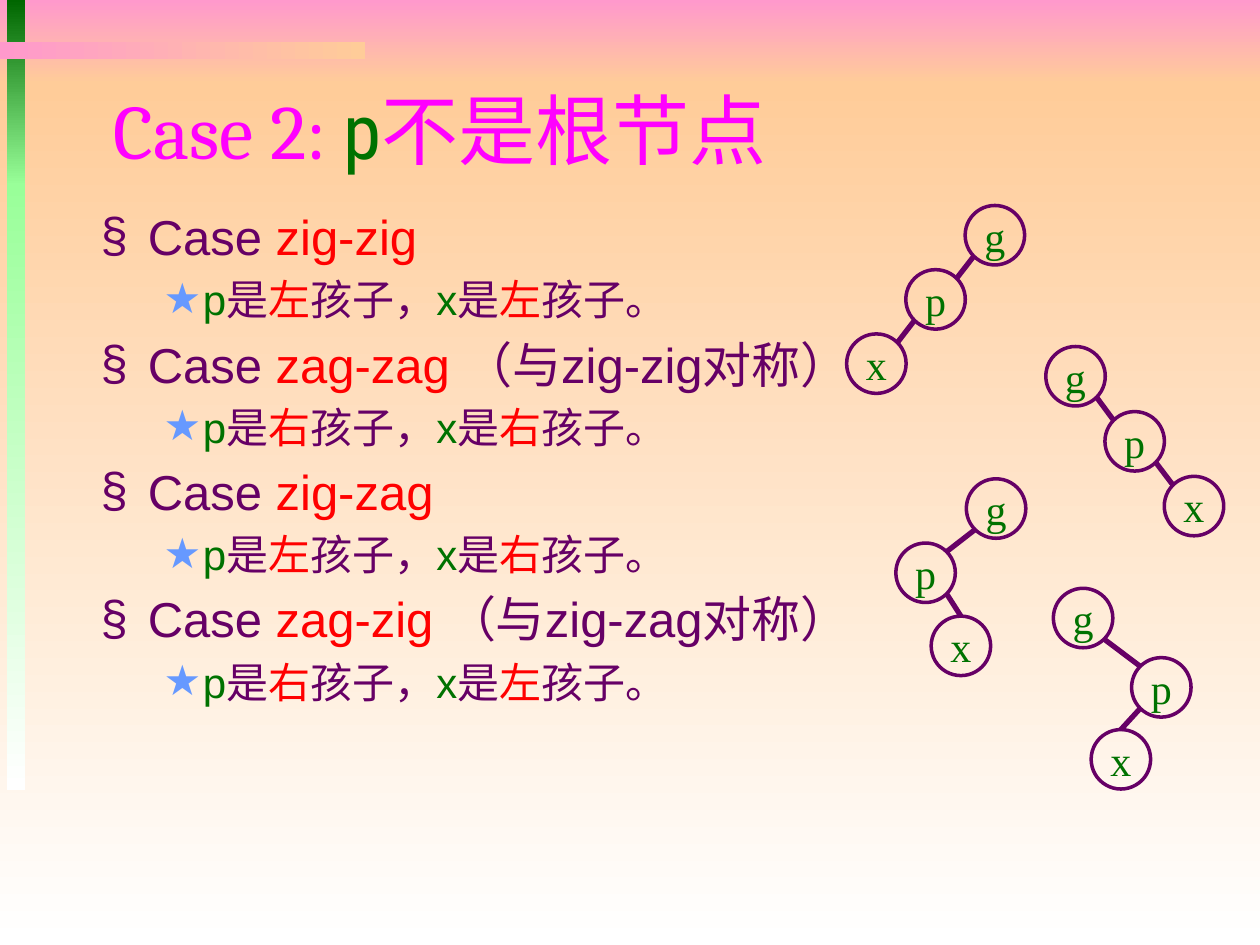
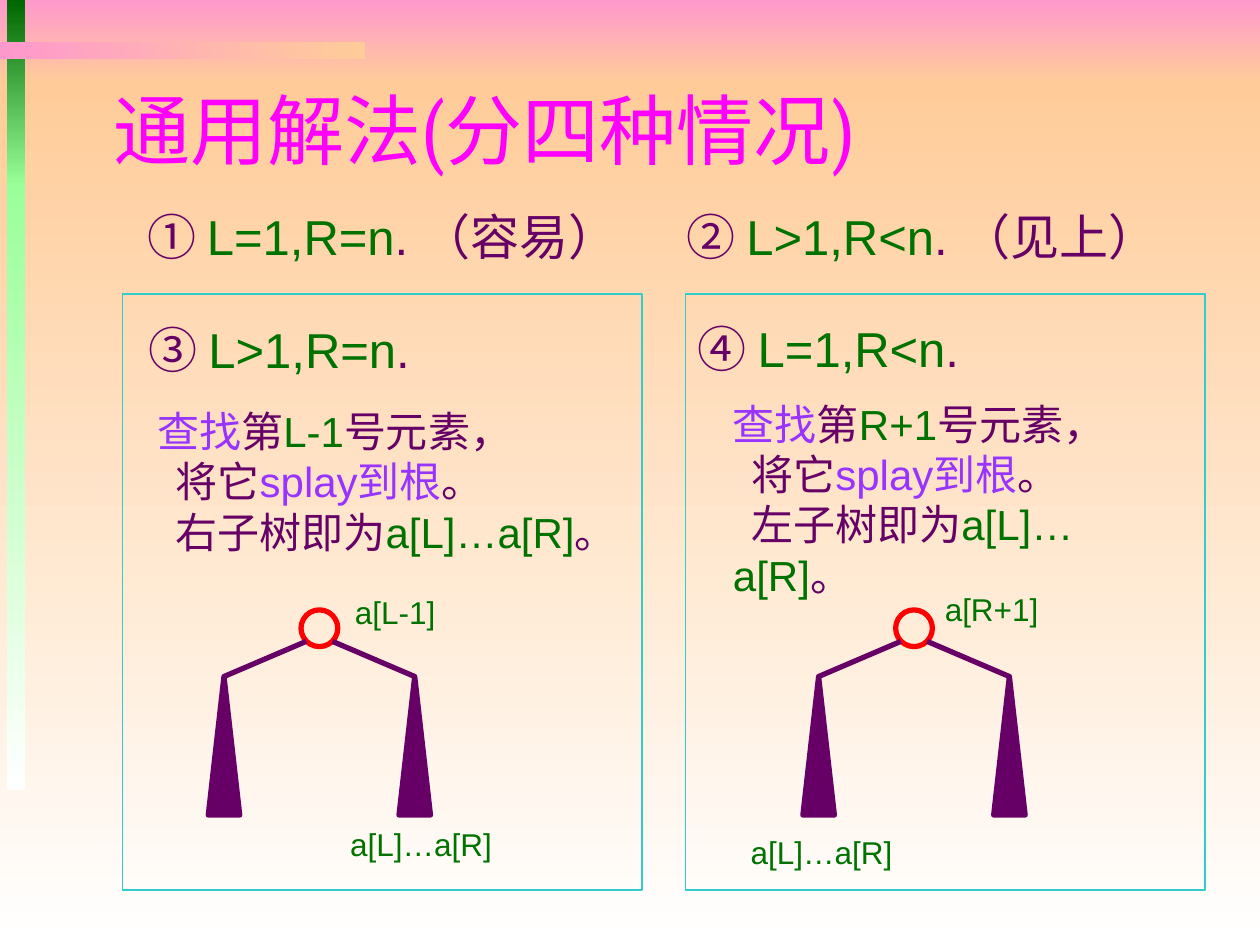
from lxml import etree
from pptx import Presentation
from pptx.dml.color import RGBColor as Rgb
from pptx.enum.shapes import MSO_CONNECTOR as Link, MSO_SHAPE as Kind
from pptx.enum.text import MSO_ANCHOR as Anchor, MSO_AUTO_SIZE as Auto, PP_ALIGN as Align
from pptx.oxml.ns import qn
from pptx.util import Pt

# Shared look
HUES = {
    "pink": "FF99CC", "peach": "FFCC99", "white": "FFFFFF", "forest": "006600",
    "mint": "99FF99", "title": "FF00FF", "ink": "660066", "var": "007200",
    "red": "FF0000", "star": "6699FF", "violet": "9933FF", "frame": "33CCCC",
}
SANS, SERIF, NARROW = "Arial", "Times New Roman", "Roboto Condensed"
CJK = "Noto Sans CJK SC"
BANDS = [  # box, start colour, end colour, angle
    ((0, 0, 720, 48), "pink", "peach", 270),
    ((0, 48, 720, 492), "peach", "white", 270),
    ((4, 0, 10.25, 106), "forest", "mint", 270),
    ((4, 105, 10.25, 346.5), "mint", "white", 270),
    ((0, 24, 208.5, 10), "pink", "peach", 0),
]
TITLE_BOX = (57.6, 41, 612, 64.8)

# Content: rotation cases
CASE_TITLE = [("Case 2: ", "title", "Cambria"), ("p", "var", NARROW),
              ("不是根节点", "title", NARROW)]
CASE_BOX = (50.4, 114.5, 454.3, 358)
CASES = [  # name, remark, side of p, side of x
    ("zig-zig", "", "左", "左"),
    ("zag-zag ", "（与zig-zig对称）", "右", "右"),
    ("zig-zag", "", "左", "右"),
    ("zag-zig ", "（与zig-zag对称）", "右", "左"),
]
NODE = 34
TREES = [  # top left corners of g, p and x
    [(551.5, 117.4), (517.6, 154.1), (483.8, 190.8)],
    [(597.6, 198), (631.4, 235.2), (665.3, 272.2)],
    [(552.2, 273.6), (511.9, 310.3), (532.1, 352.1)],
    [(601.9, 336.2), (646.6, 375.8), (623.5, 416.9)],
]

# Content: general solution
PLAN_TITLE = [("通用解法(分四种情况)", "title", NARROW)]
HEADS = [  # mark, range, rest, box
    ("① ", "L=1,R=n", ". （容易）", (77, 114.5, 294, 58)),
    ("② ", "L>1,R<n", ". （见上）", (385.2, 114.5, 320, 58)),
    ("③ ", "L>1,R=n", ".", (77.8, 179.3, 214, 58)),
    ("④ ", "L=1,R<n", ".", (391.7, 178.6, 214, 58)),
]
SPAN = "a[L]…a[R]"
PLANS = [
    {"key": "L-1", "side": "右", "steps": (46.8, 228.2, 332.6, 94), "root": 182.5,
     "key_at": (195.8, 335.5), "span_at": (193, 468), "frame": 70},
    {"key": "R+1", "side": "左", "steps": (375.8, 223.9, 292.3, 94), "root": 522.3,
     "key_at": (532.8, 333.4), "span_at": (421.9, 472.3), "frame": 391.7},
]


def tint(name):
    return Rgb.from_string(HUES[name])


def pts(vals):
    return [Pt(v) for v in vals]


def shape(slide, kind, box, line=None, width=1, fill=None):
    item = slide.shapes.add_shape(kind, *pts(box))
    item.shadow.inherit = False
    if fill:
        item.fill.solid()
        item.fill.fore_color.rgb = tint(fill)
    else:
        item.fill.background()
    if line:
        item.line.color.rgb = tint(line)
        item.line.width = Pt(width)
    else:
        item.line.fill.background()
    return item


def edge(slide, start, end):
    item = slide.shapes.add_connector(Link.STRAIGHT, *pts(start + end))
    item.line.color.rgb = tint("ink")
    item.line.width = Pt(3)
    etree.SubElement(item.element.spPr, qn("a:effectLst"))


def write(para, runs, size, font=SANS):
    """Fill a paragraph with (text, colour[, font]) runs."""
    para.font.size, para.font.name = Pt(size), font
    for text, hue, *face in runs:
        run = para.add_run()
        run.text = text
        run.font.size = Pt(size)
        run.font.name = face[0] if face else font
        run.font.color.rgb = tint(hue)


def text_box(slide, box):
    frame = slide.shapes.add_textbox(*pts(box)).text_frame
    frame.word_wrap = True
    return frame


def next_para(frame, first):
    return frame.paragraphs[0] if first else frame.add_paragraph()


def indent(para, left, first, mark=None, hue=None):
    props = para._p.get_or_add_pPr()
    props.set("marL", str(Pt(left)))
    props.set("indent", str(Pt(first)))
    if hue:
        color = etree.SubElement(props, qn("a:buClr"))
        etree.SubElement(color, qn("a:srgbClr"), val=HUES[hue])
    if mark:
        etree.SubElement(props, qn("a:buFont"), typeface=SANS)
        etree.SubElement(props, qn("a:buChar"), char=mark)


def add_bands(slide, layout):
    """Place the gradient bands in the layout, behind its placeholders."""
    for spot, (box, start, end, angle) in enumerate(BANDS, 2):
        band = shape(slide, Kind.RECTANGLE, box)
        band.fill.gradient()
        band.fill.gradient_angle = angle
        for stop, hue, at in zip(band.fill.gradient_stops, (start, end), (0, 1)):
            stop.color.rgb, stop.position = tint(hue), at
        layout.shapes.element.insert(spot, band.element)


def new_slide(deck, layout, runs):
    slide = deck.slides.add_slide(layout)
    title = slide.shapes.title
    title.left, title.top, title.width, title.height = pts(TITLE_BOX)
    frame = title.text_frame
    frame.auto_size, frame.vertical_anchor = Auto.NONE, Anchor.MIDDLE
    para = frame.paragraphs[0]
    para.alignment = Align.LEFT
    write(para, runs, 44, NARROW)
    return slide


def add_cases(slide):
    frame = text_box(slide, CASE_BOX)
    for i, (name, note, p_side, x_side) in enumerate(CASES):
        head = next_para(frame, i == 0)
        indent(head, 27, -27, "§")
        if i:
            head.space_before = Pt(5.6)
        runs = [("Case ", "ink"), (name, "red")]
        write(head, runs + ([(note, "ink")] if note else []), 28)

        sub = frame.add_paragraph()
        sub.level = 1
        indent(sub, 58.5, -22.5, "★", "star")
        sub.space_before = Pt(4.8)
        write(sub, [("p", "var"), ("是", "ink"), (p_side, "red"), ("孩子，", "ink"),
                    ("x", "var"), ("是", "ink"), (x_side, "red"), ("孩子。", "ink")], 24)


def add_tree(slide, spots):
    for name, (left, top) in zip("gpx", spots):
        node = shape(slide, Kind.OVAL, (left, top, NODE, NODE), "ink", 2)
        frame = node.text_frame
        frame.word_wrap, frame.vertical_anchor = False, Anchor.MIDDLE
        frame.paragraphs[0].alignment = Align.CENTER
        write(frame.paragraphs[0], [(name, "var")], 24, SERIF)
    # Edges leave on the diagonal and enter a steep child at its top
    half, diag = NODE / 2, NODE / 2 * 0.71
    for (px, py), (cx, cy) in zip(spots, spots[1:]):
        turn = diag if cx > px else -diag
        start = (px + half + turn, py + half + diag)
        if abs(cx - px) < 26:
            end = (cx + half, cy)
        else:
            end = (cx + half - turn, cy + half - diag)
        edge(slide, start, end)


def add_plan(slide, plan):
    # Steps
    frame = text_box(slide, plan["steps"])
    lines = [
        [("查找", "violet"), ("第", "ink"), (plan["key"], "var"), ("号元素，", "ink")],
        [("将它", "ink"), ("splay到根", "violet"), ("。", "ink")],
        [(plan["side"] + "子树即为", "ink"), (SPAN, "var"), ("。", "ink")],
    ]
    for i, runs in enumerate(lines):
        para = next_para(frame, i == 0)
        para.level = 1
        indent(para, 36, 10.5 if i else 0)
        write(para, runs, 24)
    # Root with two subtrees
    root = plan["root"]
    shape(slide, Kind.OVAL, (root - 10.5, 348.5, 21, 21), "red", 3)
    for sign in (-1, 1):
        tip = root + sign * 54.5
        edge(slide, (root + sign * 7.5, 366.5), (tip, 386.6))
        shape(slide, Kind.ISOSCELES_TRIANGLE, (tip - 9, 386.6, 18, 79.2), "ink", 3, "ink")
    # Labels and frame
    for text, spot in ((SPAN, plan["span_at"]), (f"a[{plan['key']}]", plan["key_at"])):
        label = text_box(slide, spot + (111, 29))
        write(label.paragraphs[0], [(text, "var")], 18)
    shape(slide, Kind.RECTANGLE, (plan["frame"], 168.2, 297, 340.5), "frame")


def main():
    deck = Presentation()
    deck.slide_width, deck.slide_height = Pt(720), Pt(540)
    layout = deck.slide_layouts[5]

    slide = new_slide(deck, layout, CASE_TITLE)
    add_bands(slide, layout)
    add_cases(slide)
    for spots in TREES:
        add_tree(slide, spots)

    slide = new_slide(deck, layout, PLAN_TITLE)
    for mark, span, rest, box in HEADS:
        para = text_box(slide, box).paragraphs[0]
        write(para, [(mark, "ink", CJK), (span, "var"), (rest, "ink")], 28)
    for plan in PLANS:
        add_plan(slide, plan)
    deck.save("out.pptx")


if __name__ == "__main__":
    main()
